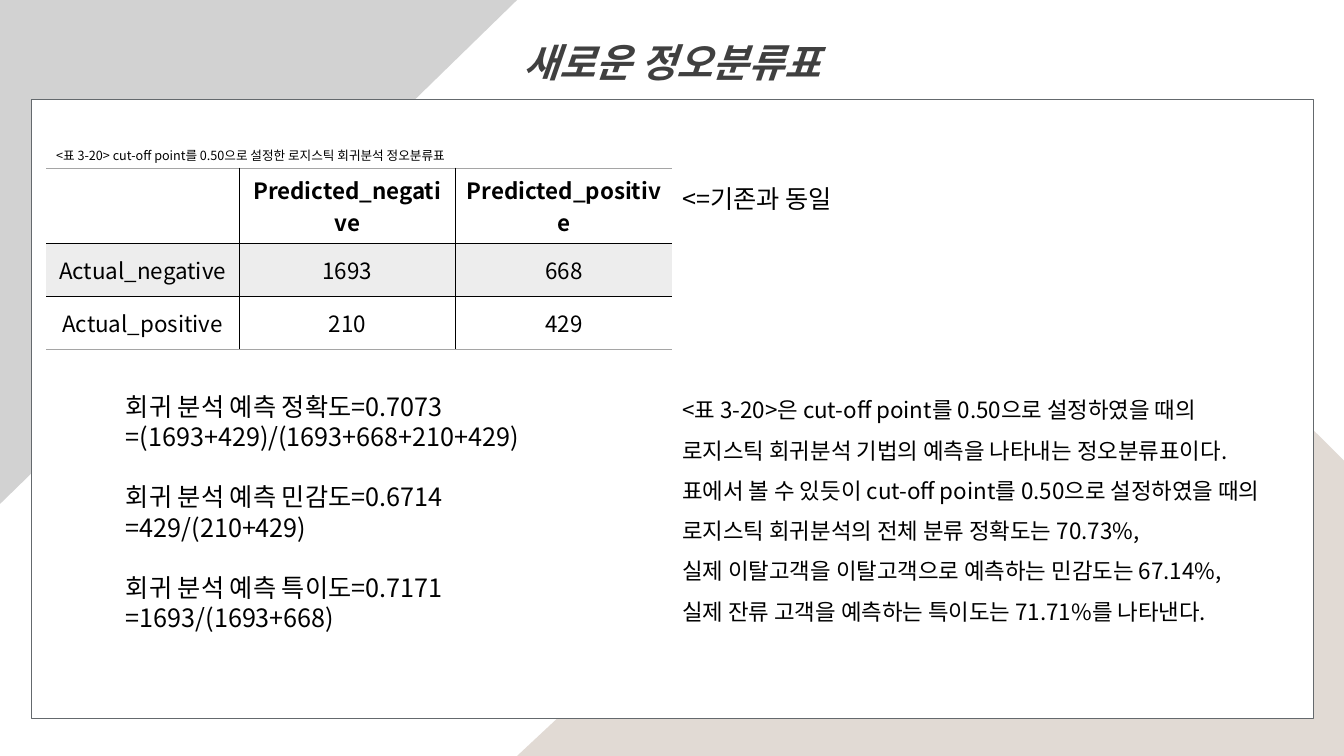
from dataclasses import dataclass

from lxml import etree
from pptx import Presentation
from pptx.dml import color
from pptx.enum import shapes, text
from pptx.oxml import ns
from pptx.util import Pt


@dataclass(frozen=True)
class Theme:
    font: str = "Noto Sans CJK KR"
    ink: str = "000000"
    title: str = "404040"
    white: str = "FFFFFF"
    edge: str = "64696D"
    gray: str = "D2D2D2"
    sand: str = "E1DAD4"
    rule: str = "A5A5A5"
    band: str = "EDEDED"
    head: float = 28
    large: float = 18
    body: float = 16
    small: float = 9


@dataclass(frozen=True)
class Note:
    box: tuple[float, float, float, float]
    groups: list[list[str]]
    size: float
    tint: str = "000000"
    lead: float = 1
    gap: float = 0
    bold: bool = False
    wrap: bool = True
    align: text.PP_ALIGN = text.PP_ALIGN.LEFT
    anchor: text.MSO_ANCHOR = text.MSO_ANCHOR.TOP


LOOK = Theme()
NOTES = [
    Note((82.8, 275.76, 346.32, 181.44), [
        ["회귀 분석 예측 정확도=0.7073", "=(1693+429)/(1693+668+210+429)"],
        ["회귀 분석 예측 민감도=0.6714", "=429/(210+429)"],
        ["회귀 분석 예측 특이도=0.7171", "=1693/(1693+668)"],
    ], LOOK.large, gap=21.6),
    Note((207.36, 7.2, 545.04, 51.84), [["새로운 정오분류표"]], LOOK.head,
         LOOK.title, lead=1.5, bold=True, align=text.PP_ALIGN.CENTER),
    Note((33.12, 102.24, 326.16, 18),
         [["<표 3-20> cut-off point를 0.50으로 설정한 로지스틱 회귀분석 정오분류표"]],
         LOOK.small, wrap=False),
    Note((480.24, 127.44, 159.12, 28.8), [["<=기존과 동일"]], LOOK.large,
         anchor=text.MSO_ANCHOR.MIDDLE),
    Note((480.24, 270, 444.96, 179.28), [[
        "<표 3-20>은 cut-off point를 0.50으로 설정하였을 때의",
        "로지스틱 회귀분석 기법의 예측을 나타내는 정오분류표이다.",
        "표에서 볼 수 있듯이 cut-off point를 0.50으로 설정하였을 때의",
        "로지스틱 회귀분석의 전체 분류 정확도는 70.73%,",
        "실제 이탈고객을 이탈고객으로 예측하는 민감도는 67.14%,",
        "실제 잔류 고객을 예측하는 특이도는 71.71%를 나타낸다.",
    ]], LOOK.body, lead=1.5),
]
ROWS = [
    ["", "Predicted_negative", "Predicted_positive"],
    ["Actual_negative", "1693", "668"],
    ["Actual_positive", "210", "429"],
]
WIDTHS = [137.52, 154.8, 154.8]
HEIGHT = 38.16


def rgb(code: str) -> color.RGBColor:
    return color.RGBColor.from_string(code)


def paint(shape, fill: str, line: str | None = None) -> None:
    shape.shadow.inherit = False
    shape.fill.solid()
    shape.fill.fore_color.rgb = rgb(fill)
    if line:
        shape.line.color.rgb = rgb(line)
        shape.line.width = Pt(1)
    else:
        shape.line.fill.background()


def write(para, words: str, size: float, tint: str, bold: bool = False,
          slant: bool = False) -> None:
    run = para.add_run()
    run.text = words
    font = run.font
    font.name, font.size = LOOK.font, Pt(size)
    font.bold, font.italic = bold, slant
    font.color.rgb = rgb(tint)
    east = etree.SubElement(run._r.get_or_add_rPr(), ns.qn("a:ea"))
    east.set("typeface", LOOK.font)


def add_note(slide, note: Note) -> None:
    frame = slide.shapes.add_textbox(*map(Pt, note.box)).text_frame
    frame.word_wrap = note.wrap
    frame.auto_size = text.MSO_AUTO_SIZE.SHAPE_TO_FIT_TEXT
    frame.vertical_anchor = note.anchor
    para = None
    for group in note.groups:
        for spot, words in enumerate(group):
            first = para is None
            para = frame.paragraphs[0] if first else frame.add_paragraph()
            para.alignment = note.align
            para.line_spacing = note.lead
            if note.gap and spot == 0 and not first:
                para.space_before = Pt(note.gap)
            write(para, words, note.size, note.tint, note.bold, note.bold)


def add_edge(cell, side: str, tint: str | None, width: float) -> None:
    line = etree.SubElement(cell._tc.get_or_add_tcPr(), ns.qn(f"a:ln{side}"))
    line.set("w", str(Pt(width)))
    if tint:
        fill = etree.SubElement(line, ns.qn("a:solidFill"))
        etree.SubElement(fill, ns.qn("a:srgbClr")).set("val", tint)
    else:
        etree.SubElement(line, ns.qn("a:noFill"))


def add_grid(slide) -> None:
    count, last = len(ROWS), len(WIDTHS) - 1
    grid = slide.shapes.add_table(
        count, len(WIDTHS), Pt(33.12), Pt(120.24),
        Pt(sum(WIDTHS)), Pt(HEIGHT * count)).table
    grid.first_row = grid.horz_banding = False
    for col, width in zip(grid.columns, WIDTHS):
        col.width = Pt(width)
    for y, row in enumerate(ROWS):
        grid.rows[y].height = Pt(HEIGHT)
        for x, words in enumerate(row):
            cell = grid.cell(y, x)
            cell.vertical_anchor = text.MSO_ANCHOR.MIDDLE
            outer = {"L": x == 0, "R": x == last,
                     "T": y == 0, "B": y == count - 1}
            for side, end in outer.items():
                rule = LOOK.rule if side in "TB" else None
                add_edge(cell, side, rule if end else LOOK.ink,
                         1 if end else 0.5)
            if y == 1:
                cell.fill.solid()
                cell.fill.fore_color.rgb = rgb(LOOK.band)
            else:
                cell.fill.background()
            if words:
                para = cell.text_frame.paragraphs[0]
                para.alignment = text.PP_ALIGN.CENTER
                write(para, words, LOOK.body, LOOK.ink, bold=y == 0)


def add_back(slide) -> None:
    pen = slide.shapes.build_freeform(Pt(751.68), Pt(182.88))
    pen.add_line_segments([(Pt(x), Pt(y)) for x, y in [
        (813.6, 182.88), (960, 329.04), (960, 540), (369.36, 540)]])
    paint(pen.convert_to_shape(), LOOK.sand)
    kind = shapes.MSO_SHAPE
    wedge = slide.shapes.add_shape(
        kind.RIGHT_TRIANGLE, Pt(4.68), Pt(-4.68), Pt(360), Pt(369.36))
    wedge.rotation = 90
    paint(wedge, LOOK.gray)
    panel = slide.shapes.add_shape(
        kind.RECTANGLE, Pt(22.32), Pt(71.28), Pt(915.84), Pt(442.08))
    paint(panel, LOOK.white, LOOK.edge)


def main() -> None:
    deck = Presentation()
    deck.slide_width, deck.slide_height = Pt(960), Pt(540)
    slide = deck.slides.add_slide(deck.slide_layouts[6])
    add_back(slide)
    add_grid(slide)
    for note in NOTES:
        add_note(slide, note)
    deck.save("out.pptx")


if __name__ == "__main__":
    main()
